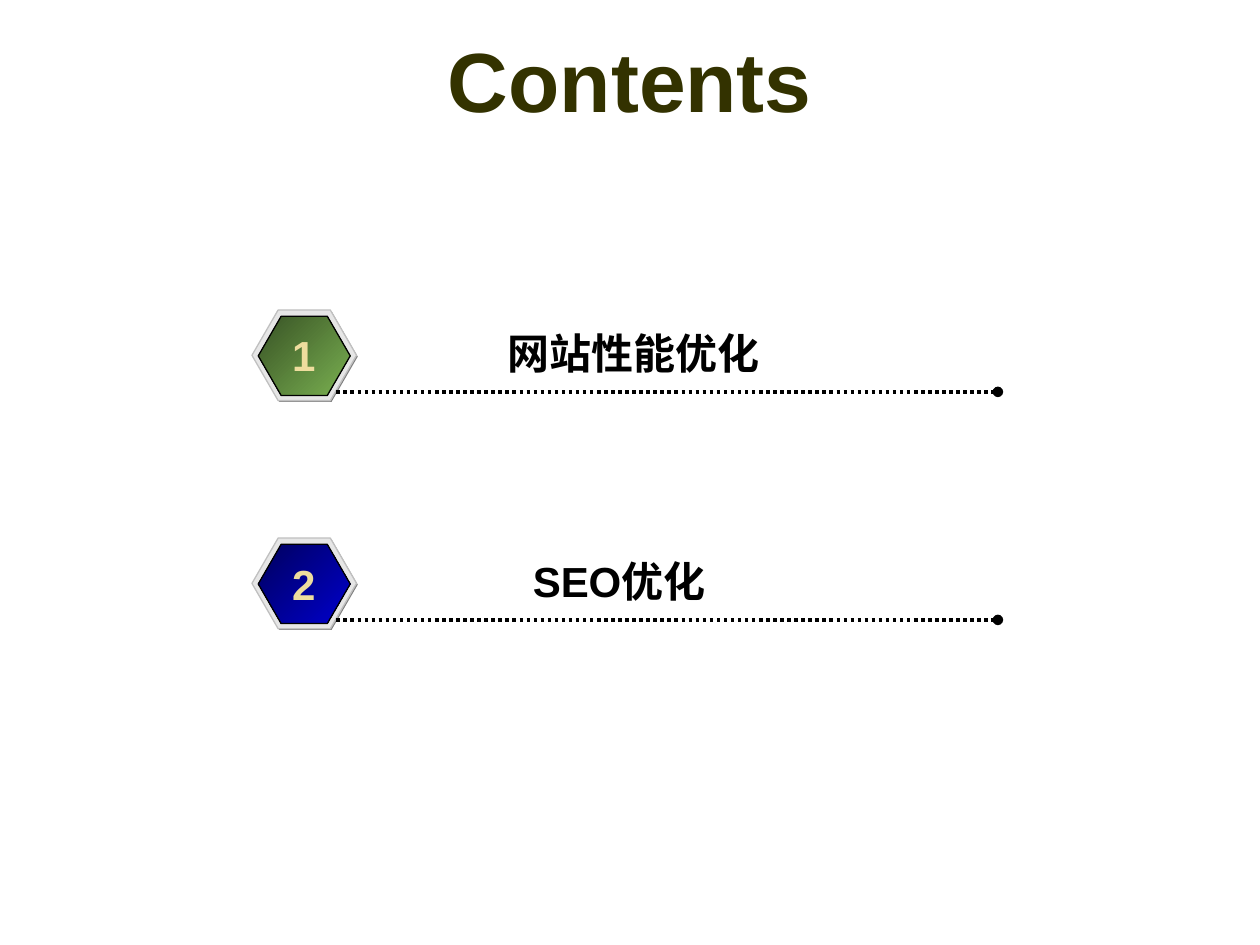
from dataclasses import dataclass

from lxml.etree import SubElement
from pptx import Presentation
from pptx.dml.color import RGBColor as Rgb
from pptx.enum.dml import MSO_LINE
from pptx.enum.shapes import MSO_CONNECTOR, MSO_SHAPE
from pptx.enum.text import MSO_ANCHOR, MSO_AUTO_SIZE, PP_ALIGN
from pptx.oxml.ns import qn
from pptx.util import Inches, Pt


@dataclass(frozen=True)
class Theme:
    font: str = "Arial"
    title_size: int = 48
    item_size: int = 24
    title: str = "333200"
    ink: str = "000000"
    number: str = "EEDD9E"
    shade: str = "808080"
    rim: str = "E6E6E6"
    rim_line: str = "C0C0C0"


THEME = Theme()
FIRST_TOP, ROW_STEP = 2.46, 1.81

# Label, label left, label width, badge gradient
ITEMS = [
    ("网站性能优化", 3.93, 2.2, ("385225", "7AB151")),
    ("SEO优化", 4.13, 1.65, ("00005E", "0000CC")),
]


def color(value):
    return Rgb.from_string(value)


def add_text(shapes, text, place, size, ink, wrap=False):
    box = shapes.add_textbox(*map(Inches, place))
    frame = box.text_frame
    frame.word_wrap = wrap
    frame.auto_size = MSO_AUTO_SIZE.NONE if wrap else MSO_AUTO_SIZE.SHAPE_TO_FIT_TEXT
    para = frame.paragraphs[0]
    span = para.add_run()
    span.text = text
    span.font.name = THEME.font
    span.font.size = Pt(size)
    span.font.bold = True
    span.font.color.rgb = color(ink)
    return box


def add_hexagon(shapes, place, fills, line=None):
    hexagon = shapes.add_shape(MSO_SHAPE.HEXAGON, *map(Inches, place))
    hexagon.adjustments[0] = 0.289
    hexagon.shadow.inherit = False
    fill = hexagon.fill
    if len(fills) == 1:
        fill.solid()
        fill.fore_color.rgb = color(fills[0])
    else:
        fill.gradient()
        fill.gradient_angle = 315
        for stop, value in zip(fill.gradient_stops, fills):
            stop.color.rgb = color(value)
    if line:
        hexagon.line.color.rgb = color(line)
        hexagon.line.width = Pt(0.75)
    else:
        hexagon.line.fill.background()


def add_dotted_line(shapes, left, right, y):
    rule = shapes.add_connector(
        MSO_CONNECTOR.STRAIGHT, Inches(left), Inches(y), Inches(right), Inches(y))
    rule.line.color.rgb = color(THEME.ink)
    rule.line.width = Pt(2)
    rule.line.dash_style = MSO_LINE.ROUND_DOT
    properties = rule._element.spPr
    SubElement(properties.find(qn("a:ln")), qn("a:tailEnd"), type="oval")
    SubElement(properties, qn("a:effectLst"))


def add_title(page, text):
    box = add_text(page.shapes, text, (0.5, 0, 9, 1.25),
                   THEME.title_size, THEME.title, wrap=True)
    box.text_frame.vertical_anchor = MSO_ANCHOR.MIDDLE
    box.text_frame.paragraphs[0].alignment = PP_ALIGN.CENTER


def add_item(page, number, top, label, left, width, gradient):
    shapes = page.shapes.add_group_shape().shapes
    # Badge: shade, rim and coloured face
    add_hexagon(shapes, (2.01, top + 0.01, 0.83, 0.72), [THEME.shade])
    add_hexagon(shapes, (2, top, 0.83, 0.72), [THEME.rim], THEME.rim_line)
    add_hexagon(shapes, (2.05, top + 0.05, 0.73, 0.63), gradient, THEME.ink)
    # Underline, label and number
    add_dotted_line(shapes, 2.67, 7.92, top + 0.65)
    add_text(shapes, label, (left, top + 0.09, width, 0.5), THEME.item_size, THEME.ink)
    add_text(shapes, str(number), (2.22, top + 0.11, 0.38, 0.5),
             THEME.item_size, THEME.number)


def main():
    deck = Presentation()
    deck.slide_width, deck.slide_height = Inches(10), Inches(7.5)
    page = deck.slides.add_slide(deck.slide_layouts[6])
    add_title(page, "Contents")
    for row, item in enumerate(ITEMS):
        add_item(page, row + 1, FIRST_TOP + row * ROW_STEP, *item)
    deck.save("out.pptx")


if __name__ == "__main__":
    main()
